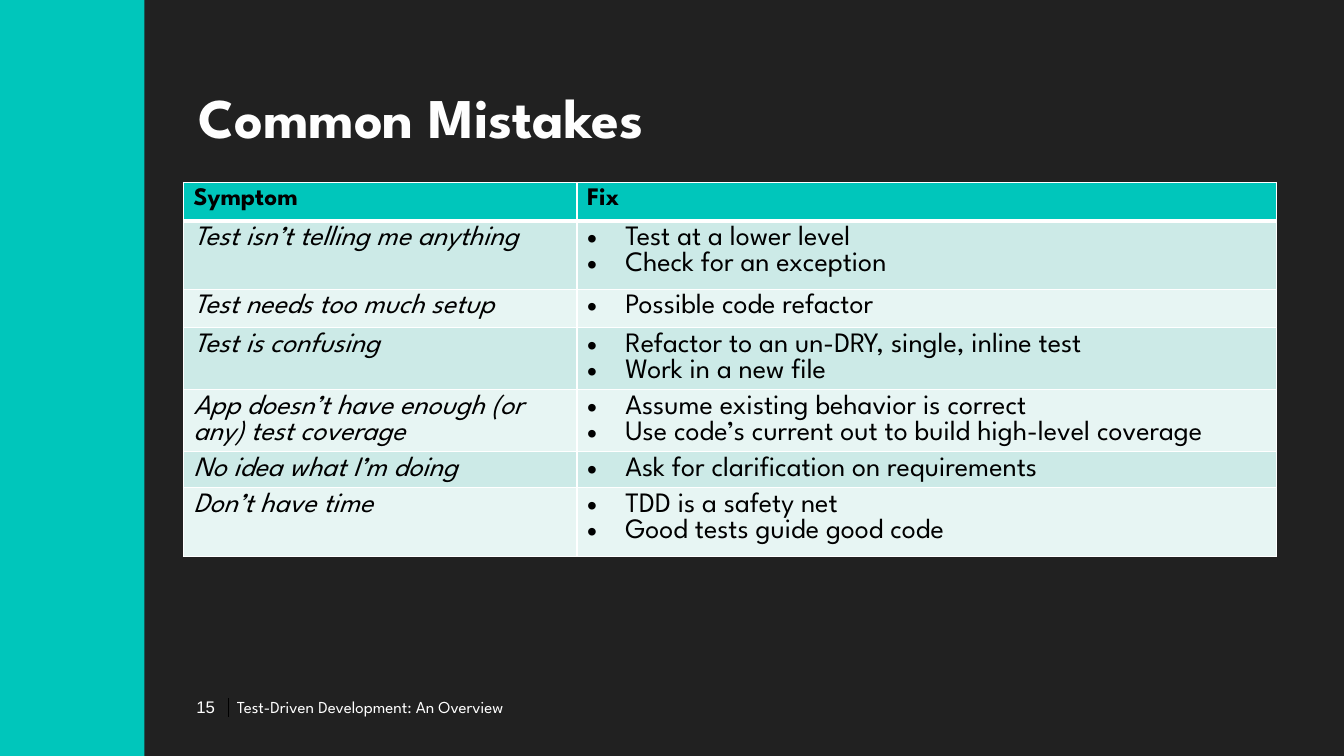
from collections import namedtuple

from pptx import Presentation
from pptx import util as u
from pptx.dml.color import RGBColor
from pptx.enum import shapes, text
from pptx.oxml import parse_xml
from pptx.oxml.ns import nsdecls, qn

COLORS = {
    "background": "212121",
    "accent": "00C6BB",
    "band_dark": "CCEAE7",
    "band_light": "E7F5F3",
    "white": "FFFFFF",
    "title": "FEFEFE",
    "black": "000000",
}
FONT = "League Spartan"
SYMPTOM_SHARE = 0.36
ROWS = [
    (5.07, "Symptom", "Fix"),
    (9.07, "Test isn’t telling me anything", "Test at a lower level\nCheck for an exception"),
    (5.07, "Test needs too much setup", "Possible code refactor"),
    (8.2, "Test is confusing", "Refactor to an un-DRY, single, inline test\nWork in a new file"),
    (8.2, "App doesn’t have enough (or any) test coverage",
     "Assume existing behavior is correct\nUse code’s current out to build high-level coverage"),
    (4.8, "No idea what I’m doing", "Ask for clarification on requirements"),
    (9.07, "Don’t have time", "TDD is a safety net\nGood tests guide good code"),
]

Box = namedtuple("Box", "left top width height")


def area(presentation, left, top, width, height):
    """Turn percentages of the slide into a box."""
    across, down = presentation.slide_width / 100, presentation.slide_height / 100
    return Box(int(left * across), int(top * down), int(width * across), int(height * down))


def color(name):
    """Look up a named colour."""
    return RGBColor.from_string(COLORS[name])


def style(frame, size, color_name, font=FONT, bold=False, italic=False):
    """Format every run of a text frame."""
    for paragraph in frame.paragraphs:
        for run in paragraph.runs:
            run.font.size = u.Pt(size)
            run.font.bold = bold
            run.font.italic = italic
            run.font.color.rgb = color(color_name)
            run.font.name = font


def add_sidebar(slide, box):
    """Draw the coloured band."""
    sidebar = slide.shapes.add_shape(shapes.MSO_SHAPE.RECTANGLE, *box)
    sidebar.shadow.inherit = False
    sidebar.fill.solid()
    sidebar.fill.fore_color.rgb = color("accent")
    sidebar.line.fill.background()


def add_title(slide, box):
    """Place the shadowed title."""
    title = slide.shapes.title
    title.left, title.top, title.width, title.height = box
    frame = title.text_frame
    frame.text = "Common Mistakes"
    frame.auto_size = text.MSO_AUTO_SIZE.NONE
    frame.vertical_anchor = text.MSO_ANCHOR.BOTTOM
    frame.paragraphs[0].alignment = text.PP_ALIGN.LEFT
    style(frame, 40, "title", bold=True)
    properties = frame.paragraphs[0].runs[0]._r.get_or_add_rPr()
    properties.find(qn("a:solidFill")).addnext(parse_xml(
        f'<a:effectLst {nsdecls("a")}><a:outerShdw blurRad="38100" dist="38100" dir="2700000" '
        f'algn="tl"><a:srgbClr val="{COLORS["black"]}"><a:alpha val="43000"/></a:srgbClr>'
        '</a:outerShdw></a:effectLst>'))


def add_borders(cell, bottom, top):
    """Outline a cell in white with the given bottom and top weights."""
    properties = cell._tc.get_or_add_tcPr()
    for side, points in (("L", 1), ("R", 1), ("T", top), ("B", bottom)):
        properties.append(parse_xml(
            f'<a:ln{side} {nsdecls("a")} w="{u.Pt(points)}"><a:solidFill>'
            f'<a:srgbClr val="{COLORS["white"]}"/></a:solidFill></a:ln{side}>'))


def add_bullets(frame):
    """Give each paragraph a hanging bullet."""
    for paragraph in frame.paragraphs:
        properties = paragraph._p.get_or_add_pPr()
        properties.set("marL", str(u.Inches(0.38)))
        properties.set("indent", str(-u.Inches(0.38)))
        properties.append(parse_xml(f'<a:buFont {nsdecls("a")} typeface="Arial"/>'))
        properties.append(parse_xml(f'<a:buChar {nsdecls("a")} char="•"/>'))


def add_mistakes_table(slide, box):
    """Fill the table of symptoms and fixes."""
    table = slide.shapes.add_table(len(ROWS), 2, *box).table
    table.columns[0].width = int(box.width * SYMPTOM_SHARE)
    table.columns[1].width = box.width - table.columns[0].width
    total = sum(row[0] for row in ROWS)
    for index, (height, *texts) in enumerate(ROWS):
        table.rows[index].height = int(box.height * height / total)
        header = index == 0
        fill = "accent" if header else "band_dark" if index % 2 else "band_light"
        for column, words in enumerate(texts):
            cell = table.cell(index, column)
            cell.text_frame.text = words
            style(cell.text_frame, 18 if header else 20, "black",
                  bold=header, italic=not header and column == 0)
            if column == 1 and not header:
                add_bullets(cell.text_frame)
            add_borders(cell, bottom=3 if header else 1, top=3 if index == 1 else 1)
            cell.fill.solid()
            cell.fill.fore_color.rgb = color(fill)


def add_label(slide, box, words, font, alignment, right_margin):
    """Write one small footer text."""
    frame = slide.shapes.add_textbox(*box).text_frame
    frame.text = words
    frame.word_wrap = False
    frame.vertical_anchor = text.MSO_ANCHOR.MIDDLE
    frame.margin_left, frame.margin_right = 0, u.Inches(right_margin)
    frame.paragraphs[0].alignment = alignment
    style(frame, 12, "white", font)


def add_footer(slide, box):
    """Place page number, divider and deck name."""
    number = box._replace(width=int(box.width * 0.08))
    name_left = int(box.width * 0.12)
    name = box._replace(left=box.left + name_left, width=box.width - name_left)
    add_label(slide, number, "15", "Arial", text.PP_ALIGN.RIGHT, 0.04)
    add_label(slide, name, "Test-Driven Development: An Overview", FONT, text.PP_ALIGN.LEFT, 0.1)
    x = box.left + int(box.width * 0.1)
    divider = slide.shapes.add_connector(
        shapes.MSO_CONNECTOR.STRAIGHT, x, box.top + int(box.height * 0.18),
        x, box.top + int(box.height * 0.85))
    divider.line.color.rgb = color("black")
    divider.line.width = u.Pt(0.75)
    divider._element.spPr.append(parse_xml(f'<a:effectLst {nsdecls("a")}/>'))


def main():
    """Build the slide and save it."""
    presentation = Presentation()
    presentation.slide_width, presentation.slide_height = u.Inches(13.33), u.Inches(7.5)
    slide = presentation.slides.add_slide(presentation.slide_layouts[5])
    slide.background.fill.solid()
    slide.background.fill.fore_color.rgb = color("background")
    add_sidebar(slide, area(presentation, 0, 0, 10.75, 100))
    add_title(slide, area(presentation, 14.02, 4.8, 81, 15.73))
    add_mistakes_table(slide, area(presentation, 13.65, 24.13, 81.33, 49.48))
    add_footer(slide, area(presentation, 13.65, 91.73, 33.2, 3.6))
    presentation.save("out.pptx")


if __name__ == "__main__":
    main()
